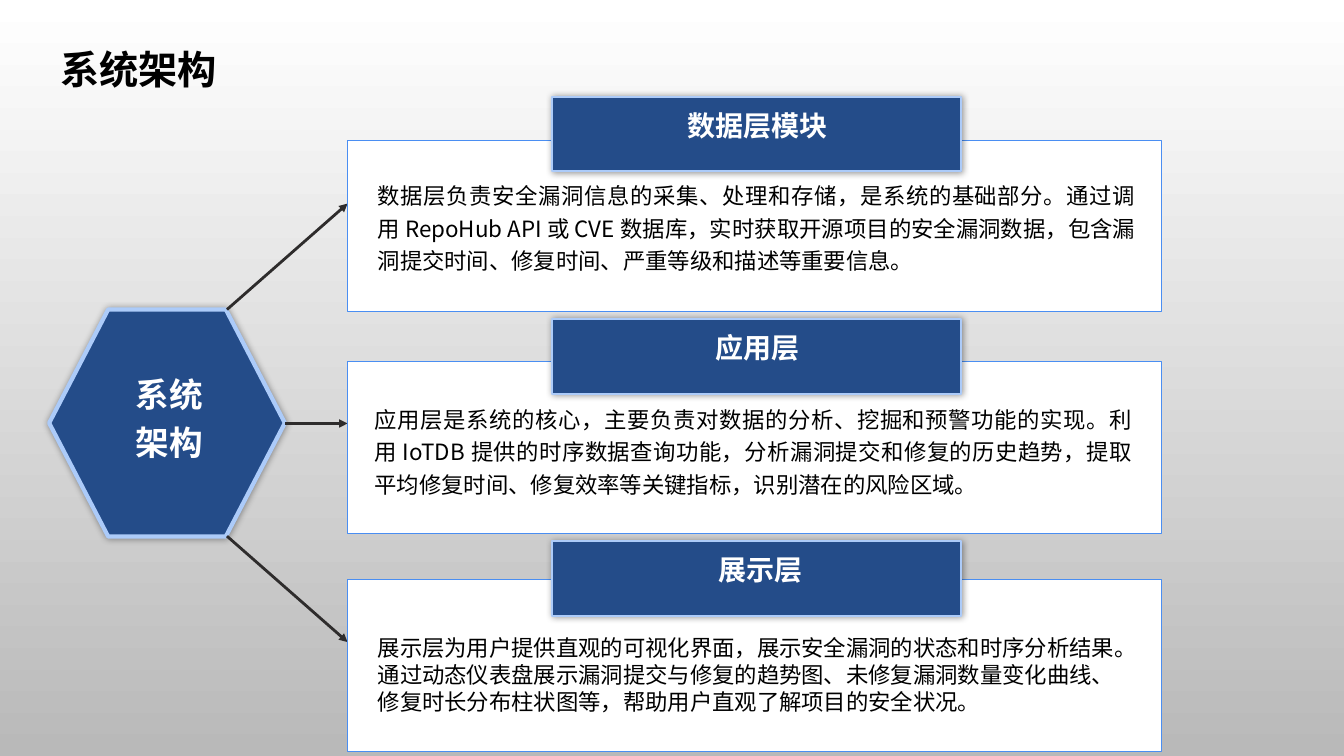
from lxml import etree
from pptx import Presentation
from pptx.dml.color import RGBColor
from pptx.enum.lang import MSO_LANGUAGE_ID as Lang
from pptx.enum.shapes import MSO_CONNECTOR as Link, MSO_SHAPE as Preset
from pptx.enum.text import MSO_ANCHOR as Anchor, MSO_AUTO_SIZE as AutoSize, PP_ALIGN as Align
from pptx.oxml import parse_xml
from pptx.oxml.ns import nsdecls, qn
from pptx.util import Cm, Pt

WHITE = RGBColor(0xFF, 0xFF, 0xFF)
BLACK = RGBColor(0x00, 0x00, 0x00)
GREY = RGBColor(0xB9, 0xB9, 0xB9)
NAVY = RGBColor(0x24, 0x4C, 0x89)
PALE_BLUE = RGBColor(0xAC, 0xCB, 0xF9)
BLUE = RGBColor(0x4A, 0x8E, 0xF2)
CHARCOAL = RGBColor(0x2E, 0x2C, 0x2C)
CJK_FONT = "Noto Sans CJK SC"

PLATE_TOP = 2.44
LAYER_PITCH = 5.6
BOX_LEFT = 8.76
LAYERS = [
    {
        "heading": "数据层模块",
        "detail": "数据层负责安全漏洞信息的采集、处理和存储，是系统的基础部分。通过调用 RepoHub API 或 CVE 数据库，"
                  "实时获取开源项目的安全漏洞数据，包含漏洞提交时间、修复时间、严重等级和描述等重要信息。",
        "box_top": 3.53, "detail_at": (9.27, 4.34),
        "style": {"font": CJK_FONT, "align": Align.JUSTIFY, "spacing": 1.2},
        "arrow": ((5.72, 7.8), (BOX_LEFT, 5.13)),
    },
    {
        "heading": "应用层",
        "detail": "应用层是系统的核心，主要负责对数据的分析、挖掘和预警功能的实现。利用 IoTDB 提供的时序数据查询功能，"
                  "分析漏洞提交和修复的历史趋势，提取平均修复时间、修复效率等关键指标，识别潜在的风险区域。",
        "box_top": 9.12, "detail_at": (9.19, 9.98),
        "style": {"font": CJK_FONT, "align": Align.JUSTIFY, "spacing": 1.2},
        "arrow": ((7.19, 10.67), (BOX_LEFT, 10.67)),
    },
    {
        "heading": " 展示层",
        "detail": "展示层为用户提供直观的可视化界面，展示安全漏洞的状态和时序分析结果。通过动态仪表盘展示漏洞提交与修复的趋势图、"
                  "未修复漏洞数量变化曲线、修复时长分布柱状图等，帮助用户直观了解项目的安全状况。",
        "box_top": 14.61, "detail_at": (9.27, 15.85),
        "style": {"font": "Calibri", "align": Align.LEFT, "spacing": 1.0},
        "arrow": ((5.72, 13.51), (BOX_LEFT, 16.18)),
    },
]


def write(frame, lines, size, color, font, align, spacing=1.0, bold=False):
    frame.vertical_anchor = Anchor.TOP
    for index, line in enumerate(lines):
        paragraph = frame.paragraphs[0] if index == 0 else frame.add_paragraph()
        paragraph.alignment = align
        paragraph.line_spacing = spacing
        run = paragraph.add_run()
        run.text = line
        run.font.size = Pt(size)
        run.font.bold = bold
        run.font.color.rgb = color
        run.font.name = font
        run.font.language_id = Lang.SIMPLIFIED_CHINESE
        latin = run.font._element.find(qn("a:latin"))
        east_asian = etree.Element(qn("a:ea"), typeface=CJK_FONT)
        latin.addnext(east_asian)


def add_label(slide, area, lines, size, color, **style):
    label = slide.shapes.add_textbox(*map(Cm, area))
    label.text_frame.word_wrap = True
    write(label.text_frame, lines, size, color, **style)


def add_panel(slide, preset, area, fill, line, line_width, glow=False):
    panel = slide.shapes.add_shape(preset, *map(Cm, area))
    panel.fill.solid()
    panel.fill.fore_color.rgb = fill
    panel.line.color.rgb = line
    panel.line.width = Pt(line_width)
    panel.shadow.inherit = False
    if glow:
        panel._element.spPr.find(qn("a:effectLst")).append(parse_xml(
            f'<a:outerShdw {nsdecls("a")} blurRad="63500" dist="0" algn="ctr" rotWithShape="0">'
            '<a:srgbClr val="000000"><a:alpha val="40000"/></a:srgbClr></a:outerShdw>'))
    return panel


def add_arrow(slide, start, end):
    arrow = slide.shapes.add_connector(Link.STRAIGHT, *map(Cm, start + end))
    arrow.line.color.rgb = CHARCOAL
    arrow.line.width = Pt(0)
    etree.SubElement(arrow.line._get_or_add_ln(), qn("a:tailEnd"), type="triangle")
    etree.SubElement(arrow._element.spPr, qn("a:effectLst"))


def add_layer(slide, index, layer):
    plate_top = PLATE_TOP + index * LAYER_PITCH
    add_panel(slide, Preset.RECTANGLE, (BOX_LEFT, layer["box_top"], 20.52, 4.32), WHITE, BLUE, 0)
    add_panel(slide, Preset.RECTANGLE, (13.92, plate_top, 10.31, 1.88), NAVY, PALE_BLUE, 1.5, glow=True)
    add_label(slide, (14.6, plate_top, 8.97, 1.14), [layer["heading"]], 20, WHITE,
              font="Arial", align=Align.CENTER, spacing=1.2, bold=True)
    add_label(slide, (*layer["detail_at"], 19.61, 2.64), [layer["detail"]], 16, BLACK, **layer["style"])


def add_core(slide):
    core = add_panel(slide, Preset.HEXAGON, (1.24, 7.8, 5.94, 5.72), NAVY, PALE_BLUE, 3, glow=True)
    core.adjustments[0] = 0.26
    add_label(slide, (2.11, 9.09, 4.32, 3.84), ["系统", "架构"], 24, WHITE,
              font="Arial", align=Align.CENTER, spacing=1.2, bold=True)


def set_title(slide, text):
    title = slide.shapes.title
    title.left, title.top, title.width, title.height = map(Cm, (1.24, 1.02, 4.5, 1.45))
    title.text_frame.word_wrap = False
    title.text_frame.auto_size = AutoSize.NONE
    write(title.text_frame, [text], 28, BLACK, font="Calibri", align=Align.CENTER, bold=True)


def set_background(slide):
    fill = slide.background.fill
    fill.gradient()
    fill.gradient_angle = 270
    for stop, color in zip(fill.gradient_stops, (WHITE, GREY)):
        stop.color.rgb = color


def main():
    deck = Presentation()
    deck.slide_width, deck.slide_height = Cm(33.87), Cm(19.05)
    slide = deck.slides.add_slide(deck.slide_layouts[5])
    set_background(slide)
    set_title(slide, "系统架构")
    add_core(slide)
    for layer in LAYERS:
        add_arrow(slide, *layer["arrow"])
    for index, layer in enumerate(LAYERS):
        add_layer(slide, index, layer)
    deck.save("out.pptx")


if __name__ == "__main__":
    main()
